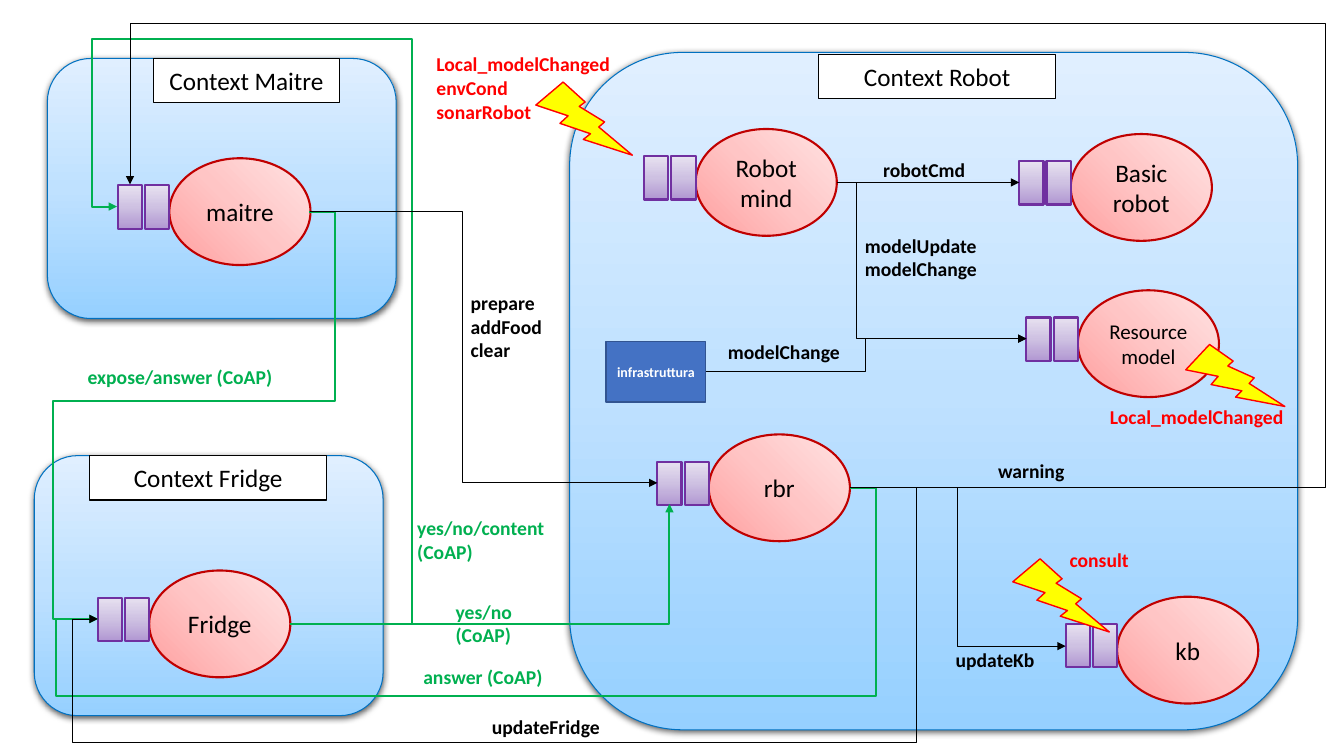
from dataclasses import dataclass

from lxml.etree import SubElement
from pptx import Presentation
from pptx.dml.color import RGBColor
from pptx.enum.shapes import MSO_CONNECTOR, MSO_SHAPE
from pptx.enum.text import MSO_ANCHOR, MSO_AUTO_SIZE, PP_ALIGN
from pptx.oxml import parse_xml
from pptx.oxml.ns import nsdecls, qn
from pptx.util import Inches, Pt


@dataclass(frozen=True)
class Theme:
    font: str = "Calibri"
    name_size: int = 18
    long_name_size: int = 15
    label_size: int = 14
    small_size: int = 10
    black: str = "000000"
    white: str = "FFFFFF"
    green: str = "00B050"
    red: str = "FF0000"
    yellow: str = "FFFF00"
    blue: str = "4472C4"
    dark_blue: str = "325491"
    context_line: str = "0070C0"
    actor_line: str = "C00000"
    queue_line: str = "7030A0"
    context_fill: tuple = ("96D0FF", "BFE1FF", "E0EFFF")
    actor_fill: tuple = ("FFA0A0", "FFC5C5", "FFE3E3")
    queue_fill: tuple = ("B197D2", "CEC1E2", "E7E1F0")


theme = Theme()
UPWARD = '<a:lin ang="16200000" scaled="0"/>'
FROM_CORNER = '<a:path path="circle"><a:fillToRect t="100000" r="100000"/></a:path>'


def paint(shape, fill, line, width, direction=UPWARD):
    shape.shadow.inherit = False
    shape.line.color.rgb = RGBColor.from_string(line)
    shape.line.width = Pt(width)
    if isinstance(fill, str):
        shape.fill.solid()
        shape.fill.fore_color.rgb = RGBColor.from_string(fill)
        return
    stops = "".join(
        f'<a:gs pos="{index * 50000}"><a:srgbClr val="{color}"/></a:gs>'
        for index, color in enumerate(fill)
    )
    shape.fill.gradient()
    properties = shape.element.spPr
    gradient = parse_xml(
        f'<a:gradFill {nsdecls("a")} rotWithShape="1"><a:gsLst>{stops}</a:gsLst>{direction}</a:gradFill>'
    )
    properties.replace(properties.find(qn("a:gradFill")), gradient)


def write(shape, text, size, color, bold=False, align=PP_ALIGN.CENTER):
    frame = shape.text_frame
    frame.word_wrap = True
    frame.text = text
    for para in frame.paragraphs:
        para.alignment = align
        para.font.name = theme.font
        para.font.size = Pt(size)
        para.font.bold = bold
        para.font.color.rgb = RGBColor.from_string(color)


deck = Presentation()
deck.slide_width = Inches(13.33)
deck.slide_height = Inches(7.5)
page = deck.slides.add_slide(deck.slide_layouts[6])

contexts = [
    ("Context Maitre", (0.47, 0.58, 3.46, 2.58), (1.52, 0.58, 1.85, 0.44)),
    ("Context Robot", (5.65, 0.52, 7.22, 6.72), (8.12, 0.54, 2.35, 0.44)),
    ("Context Fridge", (0.34, 4.52, 3.46, 2.58), (0.89, 4.52, 2.35, 0.44)),
]
for name, area, heading in contexts:
    context = page.shapes.add_shape(MSO_SHAPE.ROUNDED_RECTANGLE, *map(Inches, area))
    paint(context, theme.context_fill, theme.context_line, 0.75)
    context.element.spPr.find(qn("a:effectLst")).append(parse_xml(
        f'<a:outerShdw {nsdecls("a")} blurRad="{Pt(4.5)}" dist="{Pt(1.5)}" dir="5400000" rotWithShape="0">'
        f'<a:srgbClr val="{theme.black}"><a:alpha val="63000"/></a:srgbClr></a:outerShdw>'
    ))
    box = page.shapes.add_shape(MSO_SHAPE.RECTANGLE, *map(Inches, heading))
    paint(box, theme.white, theme.black, 1)
    write(box, name, theme.name_size, theme.black)

actors = [
    ("maitre", 1.68, 1.57, theme.name_size),
    ("Basic robot", 10.62, 1.33, theme.name_size),
    ("Fridge", 1.48, 5.66, theme.name_size),
    ("Resource model", 10.69, 2.88, theme.long_name_size),
    ("kb", 11.08, 5.92, theme.name_size),
    ("rbr", 7.03, 4.31, theme.name_size),
    ("Robot mind", 6.9, 1.28, theme.name_size),
]
for name, left, top, size in actors:
    group = page.shapes.add_group_shape()
    actor = group.shapes.add_shape(
        MSO_SHAPE.OVAL, Inches(left), Inches(top), Inches(1.4), Inches(1.06)
    )
    paint(actor, theme.actor_fill, theme.actor_line, 1.5, FROM_CORNER)
    write(actor, name, size, theme.black)
    for offset in (0.24, 0.51):
        queue = group.shapes.add_shape(
            MSO_SHAPE.RECTANGLE, Inches(left - offset), Inches(top + 0.27), Inches(0.24), Inches(0.43)
        )
        paint(queue, theme.queue_fill, theme.queue_line, 1.5)

# Each route holds its start, the alternating x and y levels of its bends, and its end.
routes = [
    ((3.07, 2.1), (3.32, 3.98, 0.53), (0.97, 6.14), theme.green),
    ((8.43, 4.84), (8.69, 6.91, 0.55), (0.97, 6.14), theme.green),
    ((2.88, 6.19), (4.09, 0.39, 0.91), (1.16, 2.05), theme.green),
    ((2.88, 6.19), (), (6.64, 5), theme.green),
    ((8.43, 4.84), (9.09, 7.37, 0.72), (0.97, 6.14), theme.black),
    ((8.3, 1.81), (), (10.11, 1.81), theme.black),
    ((6.99, 3.68), (8.58,), (10.18, 3.36), theme.black),
    ((8.3, 1.81), (8.49,), (10.18, 3.36), theme.black),
    ((8.43, 4.84), (9.5,), (10.57, 6.41), theme.black),
    ((3.07, 2.1), (4.58,), (6.52, 4.79), theme.black),
    ((8.43, 4.84), (13.14, 0.23), (1.29, 1.83), theme.black),
]
for start, bends, end, color in routes:
    straight = start[1] == end[1]
    kind = MSO_CONNECTOR.STRAIGHT if straight else MSO_CONNECTOR.ELBOW
    arrow = page.shapes.add_connector(kind, *map(Inches, start + end))
    arrow.line.color.rgb = RGBColor.from_string(color)
    arrow.line.width = Pt(1.5 if color == theme.green else 0.5)
    properties = arrow.element.spPr
    SubElement(properties.find(qn("a:ln")), qn("a:tailEnd"), type="triangle")
    SubElement(properties, qn("a:effectLst"))
    if not straight:
        geometry = properties.find(qn("a:prstGeom"))
        geometry.set("prst", f"bentConnector{len(bends) + 2}")
        adjustments = geometry.find(qn("a:avLst"))
        for index, level in enumerate(bends):
            axis = index % 2
            share = (level - start[axis]) / (end[axis] - start[axis])
            SubElement(
                adjustments, qn("a:gd"), name=f"adj{index + 1}", fmla=f"val {round(share * 100000)}"
            )

infrastructure = page.shapes.add_shape(
    MSO_SHAPE.RECTANGLE, Inches(6.01), Inches(3.39), Inches(0.99), Inches(0.6)
)
paint(infrastructure, theme.blue, theme.dark_blue, 1)
write(infrastructure, "infrastruttura", theme.small_size, theme.white, bold=True)
infrastructure.text_frame.word_wrap = False

bolts = [
    (11.83, 3.36, 0.79, 0.84, 339.2),
    (5.37, 0.78, 0.81, 0.87, 346.1),
    (10.1, 5.51, 0.81, 0.87, 346.1),
]
for *area, rotation in bolts:
    bolt = page.shapes.add_shape(MSO_SHAPE.LIGHTNING_BOLT, *map(Inches, area))
    bolt.rotation = rotation
    paint(bolt, theme.yellow, theme.red, 1)

labels = [
    ("yes/no\n(CoAP)", 4.42, 5.9, 0.78, theme.green),
    ("expose/answer (CoAP)", 0.77, 3.57, 2.21, theme.green),
    ("updateFridge", 4.78, 7.04, 1.95, theme.black),
    ("answer (CoAP)", 4.1, 6.55, 1.55, theme.green),
    ("yes/no/content\n(CoAP)", 4.04, 5.07, 1.63, theme.green),
    ("robotCmd", 8.66, 1.52, 1.95, theme.black),
    ("modelUpdate\nmodelChange", 8.48, 2.27, 1.95, theme.black),
    ("Local_modelChanged", 10.91, 3.97, 1.95, theme.red),
    ("consult", 10.51, 5.39, 0.84, theme.red),
    ("updateKb", 9.38, 6.38, 1.03, theme.black),
    ("prepare\naddFood\nclear", 4.57, 2.84, 1.15, theme.black),
    ("warning", 9.8, 4.5, 1.15, theme.black),
    ("Local_modelChanged\nenvCond\nsonarRobot", 4.23, 0.47, 1.95, theme.red),
    ("modelChange", 7.12, 3.32, 1.95, theme.black),
]
for text, left, top, width, color in labels:
    height = 0.34 + 0.235 * text.count("\n")
    label = page.shapes.add_textbox(Inches(left), Inches(top), Inches(width), Inches(height))
    write(label, text, theme.label_size, color, bold=True, align=PP_ALIGN.LEFT)
    label.text_frame.auto_size = MSO_AUTO_SIZE.SHAPE_TO_FIT_TEXT
    label.text_frame.vertical_anchor = MSO_ANCHOR.TOP

deck.save("out.pptx")
